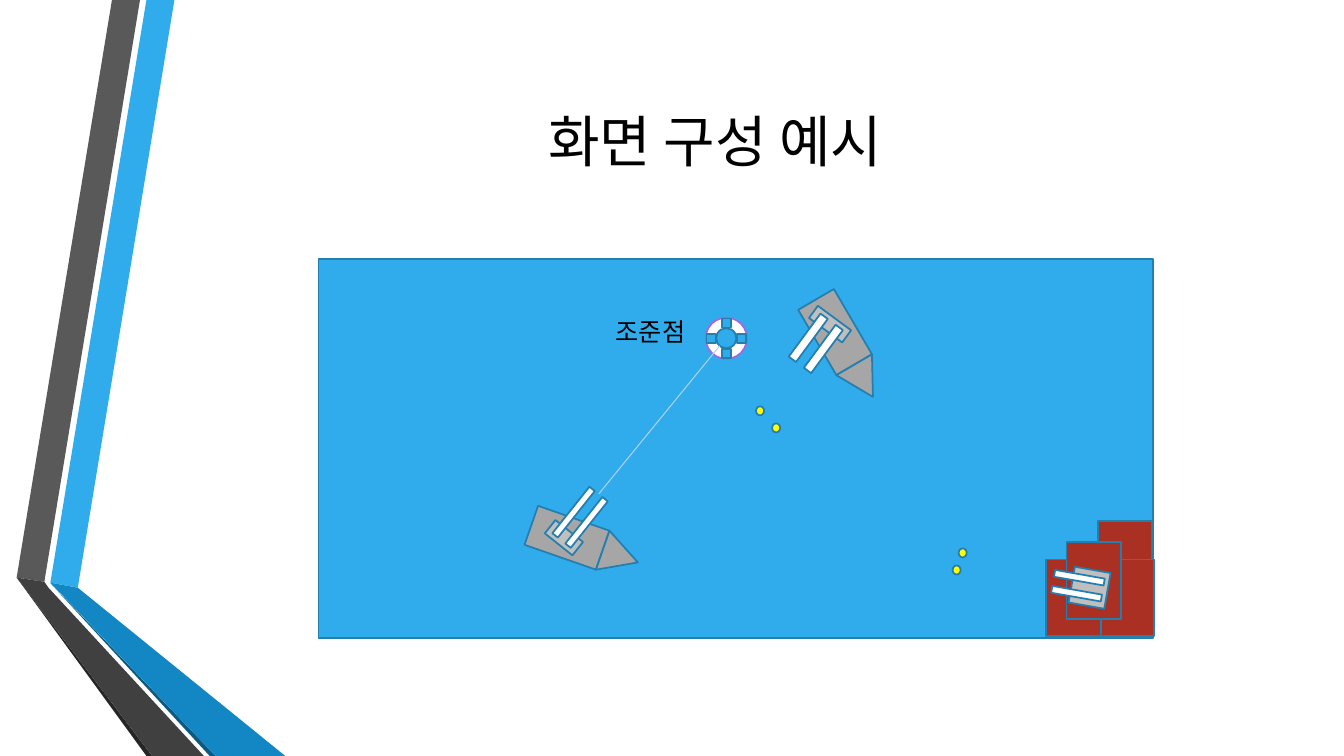
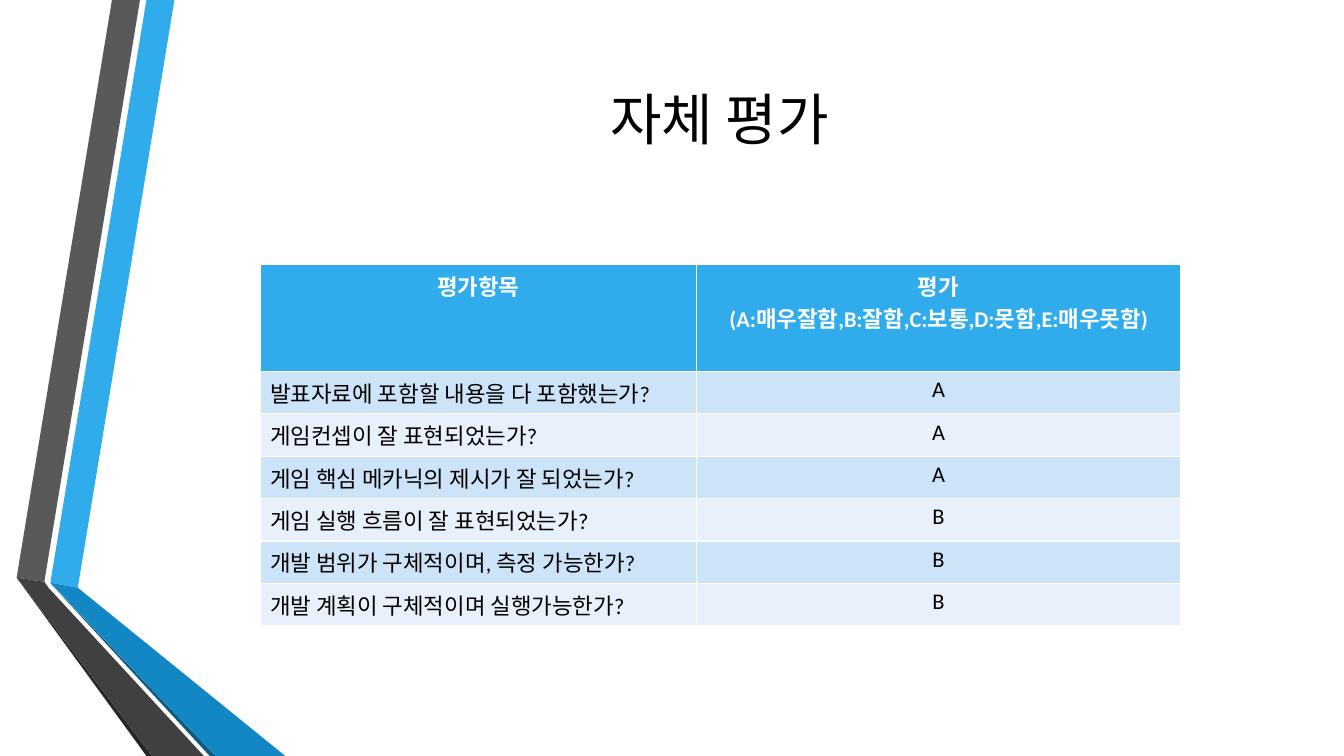
"""Build two slides of a naval game proposal: a screen mock-up and a self-assessment."""
from math import cos, radians, sin

from lxml.etree import SubElement
from pptx import Presentation
from pptx.dml.color import RGBColor
from pptx.enum.shapes import MSO_CONNECTOR as CONNECTOR, MSO_SHAPE as SHAPE
from pptx.enum.text import MSO_ANCHOR as ANCHOR, PP_ALIGN as ALIGN
from pptx.oxml.ns import qn
from pptx.util import Pt

FONT = "Calibri"
BLACK = RGBColor(0x00, 0x00, 0x00)
WHITE = RGBColor(0xFF, 0xFF, 0xFF)
BLUE = RGBColor(0x30, 0xAC, 0xEC)
OUTLINE = RGBColor(0x24, 0x7F, 0xAF)
MID_BLUE = RGBColor(0x12, 0x87, 0xC3)
DEEP_BLUE = RGBColor(0x0C, 0x5A, 0x82)
PALE_BLUE = RGBColor(0xCD, 0xE3, 0xF8)
PALER_BLUE = RGBColor(0xE8, 0xF1, 0xFB)
AIM_BLUE = RGBColor(0xAE, 0xD2, 0xF4)
GRAY = RGBColor(0x59, 0x59, 0x59)
DARK_GRAY = RGBColor(0x40, 0x40, 0x40)
CHARCOAL = RGBColor(0x26, 0x26, 0x26)
HULL_GRAY = RGBColor(0xA6, 0xA6, 0xA6)
TURRET_GRAY = RGBColor(0xBF, 0xBF, 0xBF)
FORT_RED = RGBColor(0xA9, 0x30, 0x23)
YELLOW = RGBColor(0xFF, 0xFF, 0x00)
PURPLE = RGBColor(0xA6, 0x66, 0xE1)

BANDS = [
    (BLUE, [(36, 416.2), (55.6, 419.8), (124.6, 0), (104.6, 0)]),
    (GRAY, [(100, 0), (80, 0), (11.9, 412.6), (31.7, 415.6)]),
    (CHARCOAL, [(11.9, 412.6), (104.6, 540), (108.7, 540)]),
    (DEEP_BLUE, [(36, 416.6), (149.8, 540), (154, 540)]),
    (MID_BLUE, [(36, 416.2), (154, 540), (203.8, 540), (55.6, 419.8)]),
    (DARK_GRAY, [(11.9, 412.6), (108.7, 540), (145.6, 540), (34.6, 419.8), (31.7, 415.6)]),
]
FORT_BLOCKS = [(784.1, 372.2), (785.5, 399.6), (747.4, 399.6), (761.8, 387.4)]
SHELLS = [(540, 290.2), (551.5, 302.4), (684.7, 391.7), (680.4, 403.9)]
HEADINGS = ["평가항목", "평가\n(A:매우잘함,B:잘함,C:보통,D:못함,E:매우못함)"]
ASSESSMENT = [
    ("발표자료에 포함할 내용을 다 포함했는가?", "A"),
    ("게임컨셉이 잘 표현되었는가?", "A"),
    ("게임 핵심 메카닉의 제시가 잘 되었는가?", "A"),
    ("게임 실행 흐름이 잘 표현되었는가?", "B"),
    ("개발 범위가 구체적이며, 측정 가능한가?", "B"),
    ("개발 계획이 구체적이며 실행가능한가?", "B"),
]


def points(*lengths):
    """Convert numbers to lengths in points."""
    return [Pt(length) for length in lengths]


def write_text(frame, text, size=16, color=BLACK, bold=False, align=ALIGN.LEFT):
    """Fill a text frame, one paragraph per line of text."""
    frame.text = text
    for paragraph in frame.paragraphs:
        paragraph.alignment = align
        for run in paragraph.runs:
            font = run.font
            font.name, font.size, font.bold = FONT, Pt(size), bold
            font.color.rgb = color


def paint(shape, fill, line=None):
    """Give a shape a plain fill and an optional outline."""
    shape.shadow.inherit = False
    shape.fill.solid()
    shape.fill.fore_color.rgb = fill
    if line is None:
        shape.line.fill.background()
    else:
        shape.line.color.rgb = line
        shape.line.width = Pt(1.25)


def add_piece(slide, kind, left, top, width, height, fill, line=OUTLINE):
    """Add an outlined shape by its top left corner."""
    shape = slide.shapes.add_shape(kind, *points(left, top, width, height))
    paint(shape, fill, line)
    return shape


def add_centered(slide, kind, center, size, fill, rotation=0, line=OUTLINE):
    """Add an outlined shape by its centre, turned by rotation degrees."""
    (x, y), (width, height) = center, size
    shape = add_piece(slide, kind, x - width / 2, y - height / 2, width, height, fill, line)
    shape.rotation = rotation


def offset(center, heading, forward, right=0):
    """Move a point along and across a compass heading."""
    x, y = center
    angle = radians(heading)
    return (x + forward * sin(angle) + right * cos(angle),
            y - forward * cos(angle) + right * sin(angle))


def add_turret(slide, center, heading, base, barrel, reach, spread):
    """Add a turret with two parallel barrels."""
    add_centered(slide, SHAPE.RECTANGLE, center, base, TURRET_GRAY, heading)
    for side in (-spread, spread):
        muzzle = offset(center, heading, reach, side)
        add_centered(slide, SHAPE.RECTANGLE, muzzle, barrel, WHITE, heading)


def add_hull(slide, center, heading):
    """Add a boat hull with a pointed bow."""
    add_centered(slide, SHAPE.RECTANGLE, center, (54, 29.5), HULL_GRAY, heading - 90)
    bow = offset(center, heading, 40.3)
    add_centered(slide, SHAPE.ISOSCELES_TRIANGLE, bow, (29.5, 26.6), HULL_GRAY, heading)


def add_aiming_point(slide, center):
    """Add the ring-shaped aiming mark."""
    add_centered(slide, SHAPE.OVAL, center, (29.5, 29.5), WHITE, line=PURPLE)
    add_centered(slide, SHAPE.OVAL, center, (14.4, 14.4), BLUE)
    for heading in range(0, 360, 90):
        add_centered(slide, SHAPE.RECTANGLE, offset(center, heading, 10.8), (6.5, 6.5), BLUE)


def add_line(slide, start, end, color, width):
    """Add a straight line without a shadow."""
    line = slide.shapes.add_connector(CONNECTOR.STRAIGHT, *points(*start, *end))
    line.line.color.rgb = color
    line.line.width = Pt(width)
    SubElement(line.element.spPr, qn("a:effectLst"))


def add_label(slide, text, left, top, width, height, **text_format):
    """Add a wrapping text box."""
    box = slide.shapes.add_textbox(*points(left, top, width, height))
    box.text_frame.word_wrap = True
    write_text(box.text_frame, text, **text_format)


def add_bands(slide):
    """Draw the folded side bands and move them to the shared layout."""
    tree = slide.slide_layout.shapes.element
    for index, (color, outline) in enumerate(BANDS):
        corners = [points(*corner) for corner in outline]
        builder = slide.shapes.build_freeform(*corners[0])
        builder.add_line_segments(corners[1:], close=True)
        band = builder.convert_to_shape()
        paint(band, color)
        tree.insert(2 + index, band.element)


def add_titled_slide(presentation, title, left, top):
    """Add a title-only slide with a centred title."""
    slide = presentation.slides.add_slide(presentation.slide_layouts[5])
    shape = slide.shapes.title
    shape.left, shape.top, shape.width, shape.height = points(left, top, 789, 138.2)
    shape.text_frame.vertical_anchor = ANCHOR.MIDDLE
    write_text(shape.text_frame, title, size=40, align=ALIGN.CENTER)
    return slide


def add_game_screen(slide):
    """Draw the sea with boats, fort, shells and aiming point."""
    aim = (518.8, 241.6)
    add_piece(slide, SHAPE.RECTANGLE, 227.5, 185, 596.2, 270.7, BLUE)
    add_hull(slide, (405, 384.1), 109.2)
    add_turret(slide, (402.8, 384.1), 38.5, (25.2, 12.2), (5, 42.5), 18.6, 5.9)
    add_hull(slide, (596.5, 237.2), 149.7)
    add_turret(slide, (592.9, 231.5), 216.4, (29.5, 10.8), (6.5, 38.2), 17.1, 6.7)
    for left, top in FORT_BLOCKS:
        add_piece(slide, SHAPE.RECTANGLE, left, top, 38.9, 54.7, FORT_RED)
    add_turret(slide, (778.3, 419.8), 280, (25.9, 25.9), (5, 36), 8.4, 5.8)
    for left, top in SHELLS:
        add_piece(slide, SHAPE.OVAL, left, top, 5.8, 6.5, YELLOW)
    add_aiming_point(slide, aim)
    add_line(slide, (427.7, 352.8), (514.1, 247), AIM_BLUE, 0.75)
    add_label(slide, "조준점", 432.7, 222.5, 77, 28.8, size=18)


def fill_cell(cell, text, fill, **text_format):
    """Write and colour one table cell."""
    cell.fill.solid()
    cell.fill.fore_color.rgb = fill
    write_text(cell.text_frame, text, **text_format)


def add_assessment_table(slide):
    """Add the self-assessment table."""
    rows = len(ASSESSMENT) + 1
    frame = slide.shapes.add_table(rows, 2, *points(185.8, 188.9, 657.4, 30.2 * rows))
    table = frame.table
    table.columns[0].width, table.columns[1].width = points(311.8, 345.6)
    table.rows[0].height = Pt(75)
    for column, heading in enumerate(HEADINGS):
        fill_cell(table.cell(0, column), heading, BLUE,
                  color=WHITE, bold=True, align=ALIGN.CENTER)
    for row, (question, grade) in enumerate(ASSESSMENT, start=1):
        fill = PALE_BLUE if row % 2 else PALER_BLUE
        fill_cell(table.cell(row, 0), question, fill)
        fill_cell(table.cell(row, 1), grade, fill, align=ALIGN.CENTER)


def main():
    """Build and save the presentation."""
    presentation = Presentation()
    presentation.slide_width, presentation.slide_height = points(960, 540)
    screen_slide = add_titled_slide(presentation, "화면 구성 예시", 116.6, 31)
    add_bands(screen_slide)
    add_game_screen(screen_slide)
    assessment_slide = add_titled_slide(presentation, "자체 평가", 119.5, 15.1)
    add_assessment_table(assessment_slide)
    presentation.save("out.pptx")


if __name__ == "__main__":
    main()
